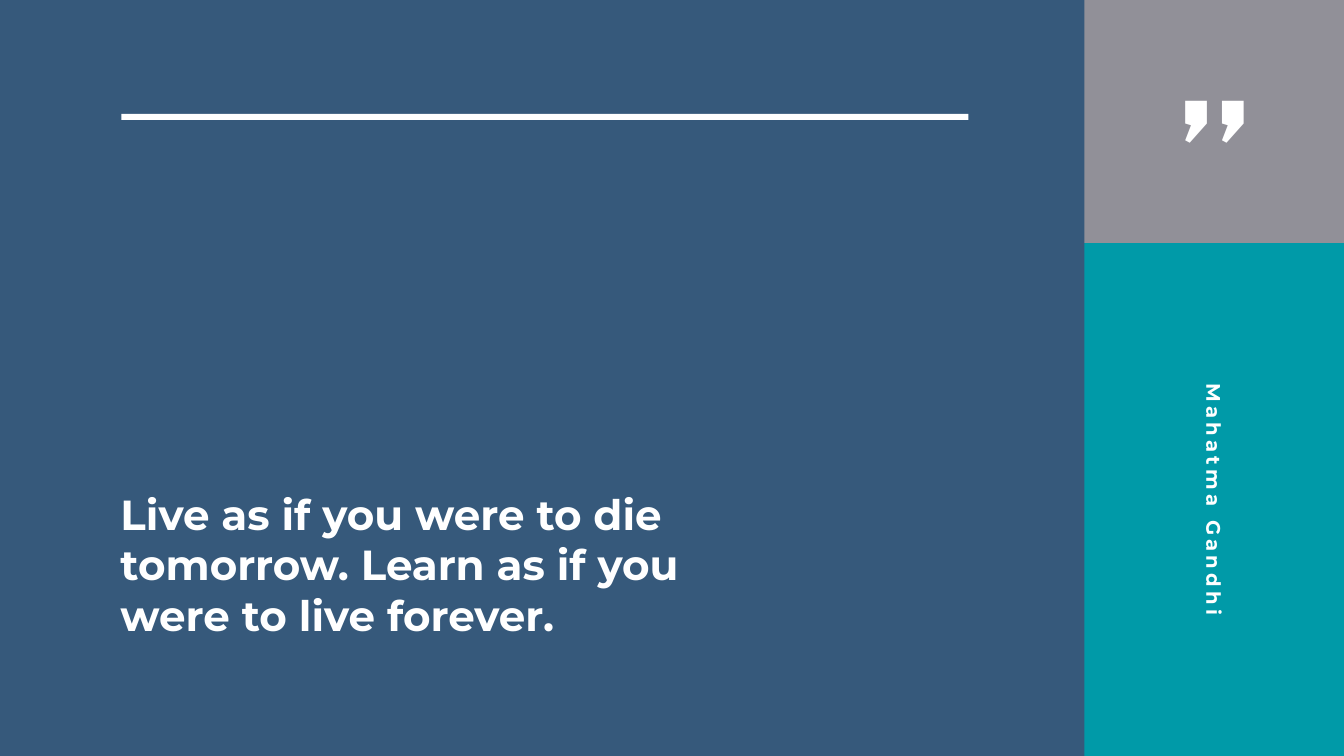
import pptx
import pptx.util
import pptx.dml.color
import pptx.enum.shapes
import pptx.enum.text

Inches = pptx.util.Inches
WHITE = "FFFFFF"


def color(code):
    return pptx.dml.color.RGBColor.from_string(code)


def write(shape, text, size, font="Montserrat", align="CENTER", gap=0):
    frame = shape.text_frame
    frame.word_wrap = True
    frame.auto_size = pptx.enum.text.MSO_AUTO_SIZE.NONE
    frame.vertical_anchor = pptx.enum.text.MSO_ANCHOR.TOP
    para = frame.paragraphs[0]
    para.alignment = getattr(pptx.enum.text.PP_ALIGN, align)
    run = para.add_run()
    run.text = text
    run.font.name = font
    run.font.size = pptx.util.Pt(size)
    run.font.bold = True
    run.font.color.rgb = color(WHITE)
    if gap:
        run.font._element.set("spc", str(gap * 100))


deck = pptx.Presentation()
deck.slide_width, deck.slide_height = Inches(26.66), Inches(15)
slide = deck.slides.add_slide(deck.slide_layouts[5])
shapes = slide.shapes

# Side panels, main panel and rule
blocks = [
    (21.5, 4.82, 5.16, 10.18, "009AA8"),
    (21.5, 0, 5.16, 4.82, "919098"),
    (-0.02, 0, 21.53, 15, "36597B"),
    (2.41, 2.26, 16.8, 0.12, WHITE),
]
for *box, fill in blocks:
    block = shapes.add_shape(
        pptx.enum.shapes.MSO_SHAPE.RECTANGLE, *map(Inches, box))
    block.shadow.inherit = False
    block.fill.solid()
    block.fill.fore_color.rgb = color(fill)
    block.line.fill.background()

# Quote mark
mark = shapes.add_textbox(*map(Inches, (22.9, 1.1, 2.36, 4.31)))
write(mark, "”", 250, font="Cabin")

# Author, turned to read downwards
author = shapes.add_textbox(*map(Inches, (20.24, 9.62, 7.69, 0.57)))
author.rotation = 90
write(author, "Mahatma Gandhi", 28, gap=6)

# Quote in the title, brought in front of the panels
quote = shapes.title
quote.left, quote.top = Inches(2.29), Inches(9.64)
quote.width, quote.height = Inches(13.59), Inches(3.13)
write(quote, "Live as if you were to die tomorrow. "
      "Learn as if you were to live forever.", 60, align="LEFT")
shapes._spTree.append(quote._element)

deck.save("out.pptx")
